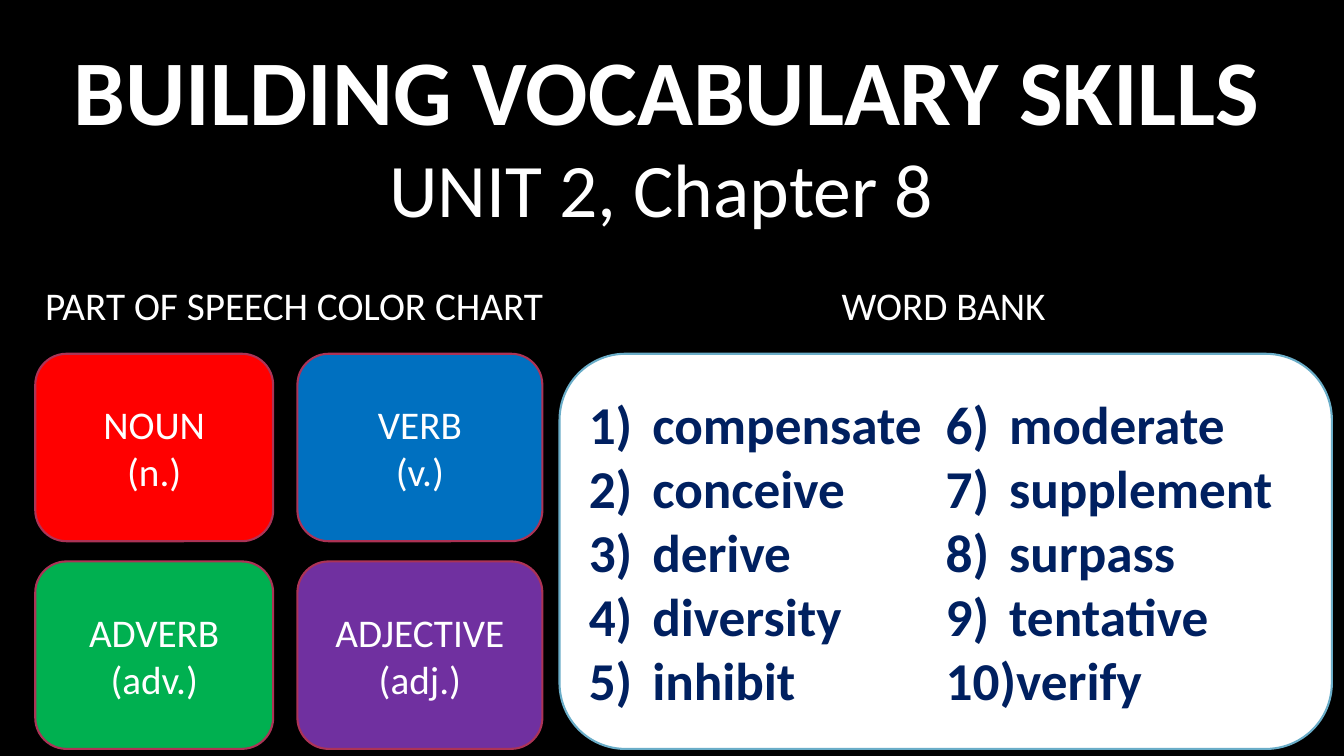
import pptx
import pptx.dml.color
import pptx.enum.shapes
import pptx.enum.text
import pptx.oxml.ns
import pptx.util
from lxml import etree

Inches = pptx.util.Inches
Pt = pptx.util.Pt
ALIGN = pptx.enum.text.PP_ALIGN
ANCHOR = pptx.enum.text.MSO_ANCHOR
ROUNDED = pptx.enum.shapes.MSO_SHAPE.ROUNDED_RECTANGLE

WHITE, BLACK, NAVY = "FFFFFF", "000000", "002060"
CARD_LINE, BANK_LINE = "AC3356", "6AADC8"


def color(hex_code):
    return pptx.dml.color.RGBColor.from_string(hex_code)


def number_paragraph(paragraph, indent):
    """Give the paragraph a hanging automatic number such as 1)."""
    properties = paragraph._p.get_or_add_pPr()
    properties.set("marL", str(Inches(indent)))
    properties.set("indent", str(-Inches(indent)))
    tag = pptx.oxml.ns.qn("a:buAutoNum")
    etree.SubElement(properties, tag, type="arabicParenR")


class VocabularySlide:
    font_name = "Calibri"
    line_width = 1.5

    def __init__(self, presentation):
        self.slide = presentation.slides.add_slide(presentation.slide_layouts[6])
        background = self.slide.background.fill
        background.solid()
        background.fore_color.rgb = color(BLACK)

    def set_lines(self, frame, lines, size, ink=WHITE, bold=False,
                  align=ALIGN.CENTER, number_indent=None):
        for index, line in enumerate(lines):
            paragraph = frame.paragraphs[0] if index == 0 else frame.add_paragraph()
            paragraph.text = line
            paragraph.alignment = align
            if number_indent:
                number_paragraph(paragraph, number_indent)
            paragraph.font.name = self.font_name
            paragraph.font.size = Pt(size)
            paragraph.font.bold = bold
            paragraph.font.color.rgb = color(ink)

    def heading(self, text, box, size, bold=False):
        frame = self.slide.shapes.add_textbox(*map(Inches, box)).text_frame
        frame.word_wrap = True
        frame.vertical_anchor = ANCHOR.MIDDLE
        self.set_lines(frame, [text], size, bold=bold)

    def label(self, text, box):
        frame = self.slide.shapes.add_textbox(*map(Inches, box)).text_frame
        frame.word_wrap = False
        frame.auto_size = pptx.enum.text.MSO_AUTO_SIZE.SHAPE_TO_FIT_TEXT
        self.set_lines(frame, [text], 28, align=ALIGN.LEFT)

    def panel(self, box, fill, line):
        """Draw a rounded panel and return its text frame."""
        shape = self.slide.shapes.add_shape(ROUNDED, *map(Inches, box))
        shape.shadow.inherit = False
        shape.fill.solid()
        shape.fill.fore_color.rgb = color(fill)
        shape.line.color.rgb = color(line)
        shape.line.width = Pt(self.line_width)
        frame = shape.text_frame
        frame.word_wrap = True
        frame.vertical_anchor = ANCHOR.MIDDLE
        return frame

    def speech_card(self, name, short, box, fill):
        self.set_lines(self.panel(box, fill, CARD_LINE), [name, short], 28)

    def word_bank(self, words, box):
        frame = self.panel(box, WHITE, BANK_LINE)
        frame._txBody.bodyPr.set("numCol", "2")
        self.set_lines(frame, words, 38, NAVY, True, ALIGN.LEFT, number_indent=0.63)


def main():
    presentation = pptx.Presentation()
    presentation.slide_width = Inches(13.33)
    presentation.slide_height = Inches(7.5)
    page = VocabularySlide(presentation)

    page.heading("BUILDING VOCABULARY SKILLS", (0.35, 0.51, 12.54, 0.73), 66, bold=True)
    page.heading("UNIT 2, Chapter 8", (3.49, 1.44, 6.14, 0.83), 54)
    page.label("PART OF SPEECH COLOR CHART", (0.35, 2.74, 5.2, 0.57))
    page.label("WORD BANK", (8.25, 2.74, 2.25, 0.57))

    speech_parts = [
        ("NOUN", "(n.)", "FF0000"),
        ("VERB", "(v.)", "0070C0"),
        ("ADVERB", "(adv.)", "00B050"),
        ("ADJECTIVE", "(adj.)", "7030A0"),
    ]
    columns = [(0.35, 2.36), (2.95, 2.43)]
    card_top, card_height, row_step = 3.51, 1.86, 2.06
    for index, (name, short, fill) in enumerate(speech_parts):
        row, column = divmod(index, 2)
        left, width = columns[column]
        box = (left, card_top + row * row_step, width, card_height)
        page.speech_card(name, short, box, fill)

    words = ["compensate", "conceive", "derive", "diversity", "inhibit",
             "moderate", "supplement", "surpass", "tentative", "verify"]
    page.word_bank(words, (5.55, card_top, 7.66, row_step + card_height))

    presentation.save("out.pptx")


if __name__ == "__main__":
    main()
